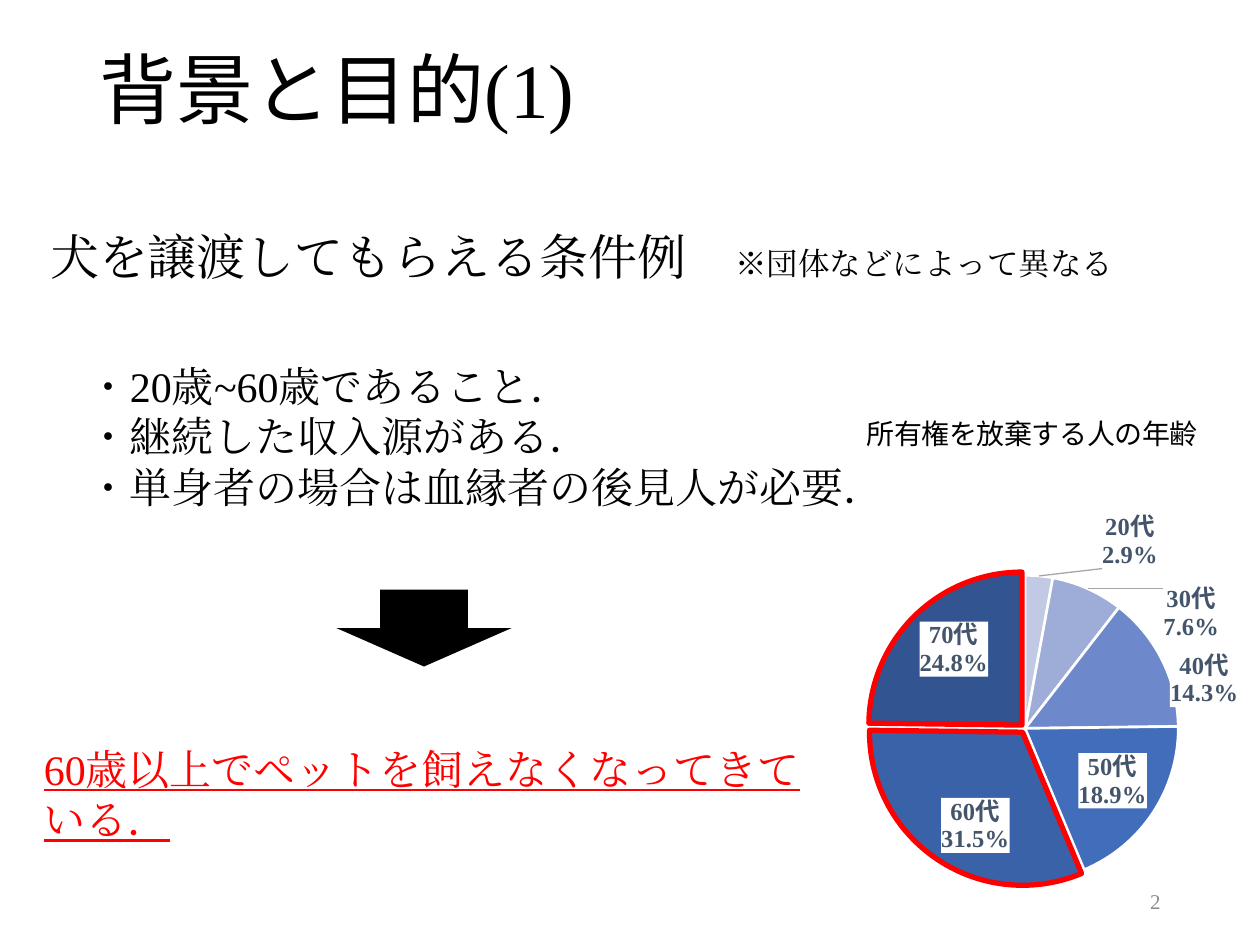
"""Build the slide on conditions for adopting a dog, with an age pie chart."""
from dataclasses import dataclass

from lxml import etree
from pptx import Presentation
from pptx.chart.data import CategoryChartData
from pptx.dml.color import RGBColor
from pptx.enum.chart import XL_CHART_TYPE
from pptx.enum.shapes import MSO_SHAPE
from pptx.enum.text import MSO_ANCHOR, PP_ALIGN
from pptx.oxml import parse_xml
from pptx.oxml.ns import qn
from pptx.util import Inches, Pt

PIE = XL_CHART_TYPE.PIE
DOWN_ARROW = MSO_SHAPE.DOWN_ARROW
TOP, MIDDLE = MSO_ANCHOR.TOP, MSO_ANCHOR.MIDDLE
LEFT, RIGHT = PP_ALIGN.LEFT, PP_ALIGN.RIGHT
CHART_NS = "http://schemas.openxmlformats.org/drawingml/2006/chart"
DRAWING_NS = "http://schemas.openxmlformats.org/drawingml/2006/main"


@dataclass(frozen=True)
class Theme:
    latin: str = "Times New Roman"
    title_asian: str = "Noto Sans CJK JP"
    ink: str = "000000"
    accent: str = "FF0000"
    paper: str = "FFFFFF"
    muted: str = "8C8C8C"
    leader: str = "A6A6A6"
    label: str = "44546A"
    title: int = 44
    heading: int = 28
    body: int = 24
    note: int = 18
    chart_title: int = 16
    chart_label: int = 14
    footer: int = 12


@dataclass(frozen=True)
class Frame:
    left: float
    top: float
    width: float
    height: float

    def lengths(self) -> tuple:
        return tuple(Inches(n) for n in (self.left, self.top, self.width, self.height))


@dataclass(frozen=True)
class AgeGroup:
    name: str
    share: float
    color: str
    label_place: str = "inEnd"
    shift: tuple = (0, 0)
    highlighted: bool = False


THEME = Theme()
CHART_TITLE = "所有権を放棄する人の年齢"
CONDITIONS = ("・20歳~60歳であること．", "・継続した収入源がある．", "・単身者の場合は血縁者の後見人が必要．")
AGE_GROUPS = (
    AgeGroup("20代", 2.9, "C1C9E4", "outEnd", (0.12, 0)),
    AgeGroup("30代", 7.6, "9EADD8", "outEnd", (0.14, 0.1)),
    AgeGroup("40代", 14.3, "6D89CB", shift=(0.16, -0.02)),
    AgeGroup("50代", 18.9, "416DBB"),
    AgeGroup("60代", 31.5, "3A62A8", highlighted=True),
    AgeGroup("70代", 24.8, "325491", highlighted=True),
)


def style_font(font, size: int, color: str) -> None:
    font.name = THEME.latin
    font.size = Pt(size)
    font.color.rgb = RGBColor.from_string(color)


def add_span(para, text: str, *, size: int, color: str = THEME.ink, underline: bool = False,
             asian: str = THEME.latin) -> None:
    span = para.add_run()
    span.text = text
    style_font(span.font, size, color)
    if underline:
        span.font.underline = True
    latin = span.font._element.find(qn("a:latin"))
    latin.addnext(etree.Element(qn("a:ea"), typeface=asian))


def add_text(page, frame: Frame, *lines: tuple, align=LEFT, anchor=TOP, spacing=None, **style) -> None:
    """Add a text box; each line is a tuple of (text, size) spans."""
    box = page.shapes.add_textbox(*frame.lengths()).text_frame
    box.word_wrap = True
    box.vertical_anchor = anchor
    for index, line in enumerate(lines):
        para = box.add_paragraph() if index else box.paragraphs[0]
        para.alignment = align
        if spacing:
            para.line_spacing = spacing
        for text, size in line:
            add_span(para, text, size=size, **style)


def add_arrow(page, frame: Frame) -> None:
    arrow = page.shapes.add_shape(DOWN_ARROW, *frame.lengths())
    arrow.shadow.inherit = False
    arrow.fill.solid()
    arrow.fill.fore_color.rgb = RGBColor.from_string(THEME.ink)
    arrow.line.fill.background()


def layout_xml(**places: float) -> str:
    parts = "".join(f'<c:{name} val="{value}"/>' for name, value in places.items())
    return f"<c:layout><c:manualLayout>{parts}</c:manualLayout></c:layout>"


def label_format_xml(place: str) -> str:
    return (
        '<c:numFmt formatCode="0.0%" sourceLinked="0"/>'
        f'<c:spPr><a:solidFill><a:srgbClr val="{THEME.paper}"/></a:solidFill></c:spPr>'
        f'<c:txPr><a:bodyPr/><a:p><a:pPr><a:defRPr sz="{THEME.chart_label * 100}" b="1">'
        f'<a:solidFill><a:srgbClr val="{THEME.label}"/></a:solidFill>'
        f'<a:latin typeface="{THEME.latin}"/><a:ea typeface="{THEME.latin}"/>'
        f'</a:defRPr></a:pPr><a:endParaRPr lang="ja-JP"/></a:p></c:txPr><c:dLblPos val="{place}"/>'
        '<c:showLegendKey val="0"/><c:showVal val="0"/><c:showCatName val="1"/>'
        '<c:showSerName val="0"/><c:showPercent val="1"/><c:showBubbleSize val="0"/>'
        "<c:separator>\n</c:separator>"
    )


def add_labels(series) -> None:
    moved = "".join(
        f'<c:dLbl><c:idx val="{index}"/>{layout_xml(x=group.shift[0], y=group.shift[1])}'
        f"{label_format_xml(group.label_place)}</c:dLbl>"
        for index, group in enumerate(AGE_GROUPS) if any(group.shift)
    )
    labels = parse_xml(
        f'<c:dLbls xmlns:c="{CHART_NS}" xmlns:a="{DRAWING_NS}">{moved}'
        f'{label_format_xml("inEnd")}<c:showLeaderLines val="1"/>'
        '<c:leaderLines><c:spPr><a:ln w="9525"><a:solidFill>'
        f'<a:srgbClr val="{THEME.leader}"/></a:solidFill></a:ln></c:spPr></c:leaderLines></c:dLbls>'
    )
    series._element.find(qn("c:cat")).addprevious(labels)


def set_layout(element, **places) -> None:
    for old in element.findall(qn("c:layout")):
        element.remove(old)
    layout = parse_xml(layout_xml(**places).replace("<c:layout>", f'<c:layout xmlns:c="{CHART_NS}">'))
    text = element.find(qn("c:tx"))
    if text is None:
        element.insert(0, layout)
    else:
        text.addnext(layout)


def add_age_chart(page, frame: Frame) -> None:
    data = CategoryChartData(number_format="0.0")
    data.categories = [group.name for group in AGE_GROUPS]
    data.add_series(CHART_TITLE, [group.share for group in AGE_GROUPS])
    chart = page.shapes.add_chart(PIE, *frame.lengths(), data).chart
    style_font(chart.font, 10, THEME.ink)
    chart.has_legend = False
    chart.has_title = True
    para = chart.chart_title.text_frame.paragraphs[0]
    para.font.bold = False
    add_span(para, CHART_TITLE, size=THEME.chart_title)
    chart.chart_title.include_in_layout = False
    set_layout(chart.chart_title._element, xMode="edge", yMode="edge", x=0.16, y=0.03)
    plot = chart.plots[0]
    plot.vary_by_categories = True
    set_layout(plot._element.getparent(), layoutTarget="inner", xMode="edge", yMode="edge",
               x=0.18, y=0.31, w=0.59, h=0.53)
    series = plot.series[0]
    for index, group in enumerate(AGE_GROUPS):
        look = series.points[index].format
        look.fill.solid()
        look.fill.fore_color.rgb = RGBColor.from_string(group.color)
        look.line.color.rgb = RGBColor.from_string(THEME.accent if group.highlighted else THEME.paper)
        look.line.width = Pt(3 if group.highlighted else 1.5)
        if group.highlighted:
            slice_shape = series._element.findall(qn("c:dPt"))[index].find(qn("c:spPr"))
            slice_shape.addprevious(etree.Element(qn("c:explosion"), val="3"))
    add_labels(series)


def main() -> None:
    deck = Presentation()
    deck.slide_width, deck.slide_height = Inches(10), Inches(7.5)
    page = deck.slides.add_slide(deck.slide_layouts[6])
    add_text(page, Frame(0.3, 1.75, 9.4, 0.57),
             (("犬を譲渡してもらえる条件例　", THEME.heading), ("※団体などによって異なる", THEME.note)))
    add_text(page, Frame(0.6, 2.81, 8.06, 1.31), *(((text, THEME.body),) for text in CONDITIONS))
    add_arrow(page, Frame(2.67, 4.68, 1.39, 0.61))
    add_text(page, Frame(0.25, 5.85, 6.22, 0.5),
             (("60歳以上でペットを飼えなくなってきている．", THEME.body),),
             color=THEME.accent, underline=True)
    add_age_chart(page, Frame(6.18, 3.12, 4.12, 4.63))
    add_text(page, Frame(0.69, 0.36, 8.62, 0.93),
             (("背景と目的", THEME.title), ("(1)", THEME.title)), spacing=0.9, asian=THEME.title_asian)
    add_text(page, Frame(7.06, 6.95, 2.25, 0.4), (("2", THEME.footer),),
             align=RIGHT, anchor=MIDDLE, color=THEME.muted)
    deck.save("out.pptx")


if __name__ == "__main__":
    main()
